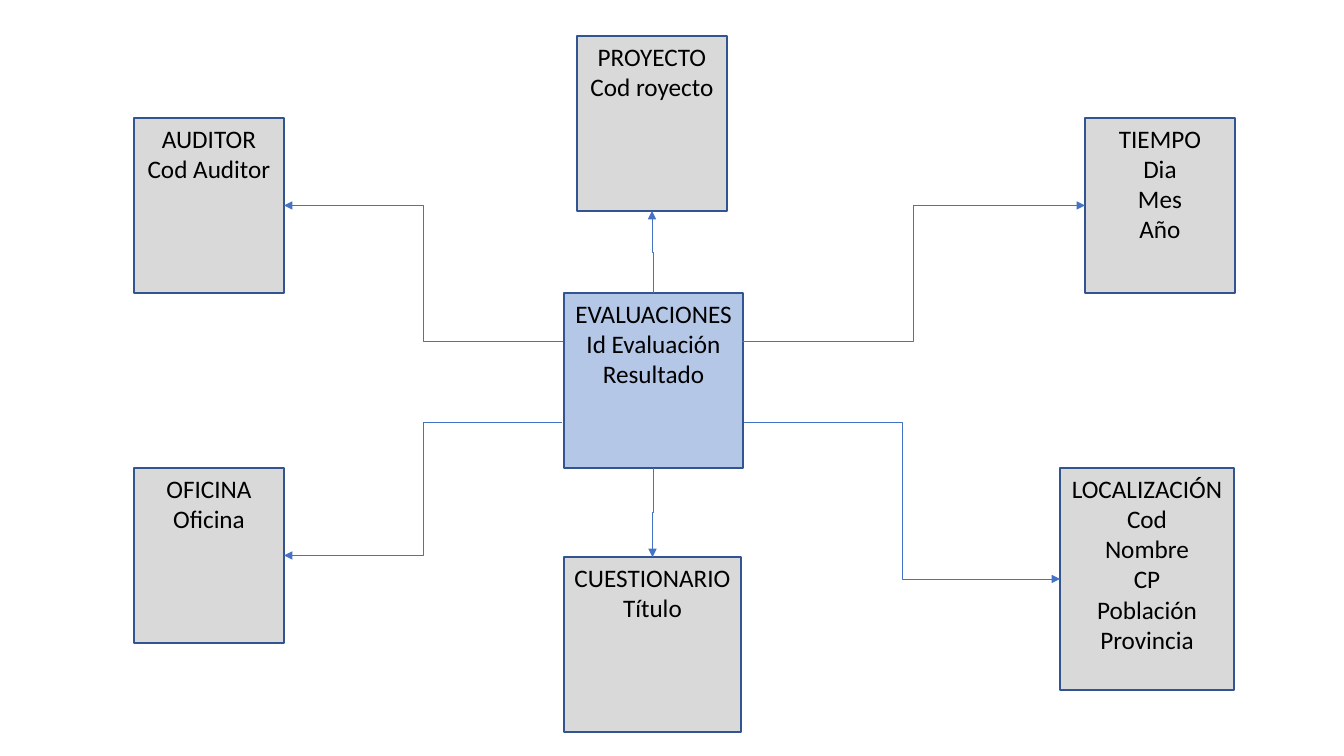
from lxml import etree
from pptx import Presentation
from pptx.dml.color import RGBColor
from pptx.enum.shapes import MSO_CONNECTOR, MSO_SHAPE
from pptx.enum.text import MSO_ANCHOR, PP_ALIGN
from pptx.oxml.ns import qn
from pptx.util import Pt

RECTANGLE = MSO_SHAPE.RECTANGLE
ELBOW = MSO_CONNECTOR.ELBOW
TOP_ANCHOR = MSO_ANCHOR.TOP
CENTER = PP_ALIGN.CENTER
TOP, LEFT, BOTTOM, RIGHT = range(4)
EMU_PER_PX = 914400 / 100.8


def px(length):
    return round(length * EMU_PER_PX)


def color(hex_string):
    return RGBColor.from_string(hex_string)


def write(frame, text, font="Calibri", size=18, ink="000000", align=CENTER):
    frame.text = text
    for paragraph in frame.paragraphs:
        paragraph.alignment = align
        for run in paragraph.runs:
            run.font.name = font
            run.font.size = Pt(size)
            run.font.color.rgb = color(ink)


class StarDiagram:
    dimension_fill = "D9D9D9"
    fact_fill = "B4C7E7"
    border = "325491"
    arrow_color = "4472C4"

    def __init__(self, slide):
        self.slide = slide

    def entity(self, text, left, top, width=150, height=175, fill=dimension_fill):
        box = self.slide.shapes.add_shape(
            RECTANGLE, px(left), px(top), px(width), px(height))
        box.shadow.inherit = False
        box.fill.solid()
        box.fill.fore_color.rgb = color(fill)
        box.line.color.rgb = color(self.border)
        box.line.width = Pt(1)
        frame = box.text_frame
        frame.word_wrap = True
        frame.vertical_anchor = TOP_ANCHOR
        frame.margin_left = frame.margin_right = px(7)
        write(frame, text)
        return box

    def arrow(self, target, side, x=0, y=0):
        link = self.slide.shapes.add_connector(ELBOW, px(x), px(y), px(x), px(y))
        link.end_connect(target, side)
        link.line.color.rgb = color(self.arrow_color)
        link.line.width = Pt(0.5)
        properties = link._element.spPr
        line = properties.find(qn("a:ln"))
        etree.SubElement(line, qn("a:tailEnd"), type="triangle")
        etree.SubElement(properties, qn("a:effectLst"))
        return link

    def vertical_arrow(self, fact, fact_side, target, target_side):
        link = self.arrow(target, target_side)
        link.begin_connect(fact, fact_side)
        start_x, start_y = link.begin_x, link.begin_y
        end_x, end_y = link.end_x, link.end_y
        length, shift = abs(end_y - start_y), abs(end_x - start_x)
        link.left = (start_x + end_x - length) // 2
        link.top = (start_y + end_y - shift) // 2
        link.width, link.height = length, shift
        upward = end_y < start_y
        frame = link._element.spPr.find(qn("a:xfrm"))
        frame.set("rot", str((270 if upward else 90) * 60000))
        frame.set("flipH", "0")
        frame.set("flipV", "1" if upward else "0")


def main():
    deck = Presentation()
    deck.slide_width, deck.slide_height = px(1344), px(756)
    diagram = StarDiagram(deck.slides.add_slide(deck.slide_layouts[6]))

    auditor = diagram.entity("AUDITOR\nCod Auditor", 134, 118)
    evaluations = diagram.entity(
        "EVALUACIONES\nId Evaluación\nResultado", 564, 293, width=179,
        fill=diagram.fact_fill)
    location = diagram.entity(
        "LOCALIZACIÓN\nCod\nNombre\nCP\nPoblación\nProvincia", 1060, 468,
        width=174, height=222)
    questionnaire = diagram.entity("CUESTIONARIO\nTítulo", 564, 557, width=177)
    office = diagram.entity("OFICINA\nOficina", 134, 468)
    project = diagram.entity("PROYECTO\nCod royecto", 577, 36)
    time = diagram.entity("TIEMPO\nDia\nMes\nAño", 1085, 118)

    diagram.arrow(time, LEFT, x=742, y=341)
    diagram.arrow(location, LEFT, x=744, y=422)
    diagram.vertical_arrow(evaluations, BOTTOM, questionnaire, TOP)
    diagram.vertical_arrow(evaluations, TOP, project, BOTTOM)
    diagram.arrow(auditor, RIGHT, x=563, y=341)
    diagram.arrow(office, RIGHT, x=562, y=422)

    deck.save("out.pptx")


if __name__ == "__main__":
    main()
